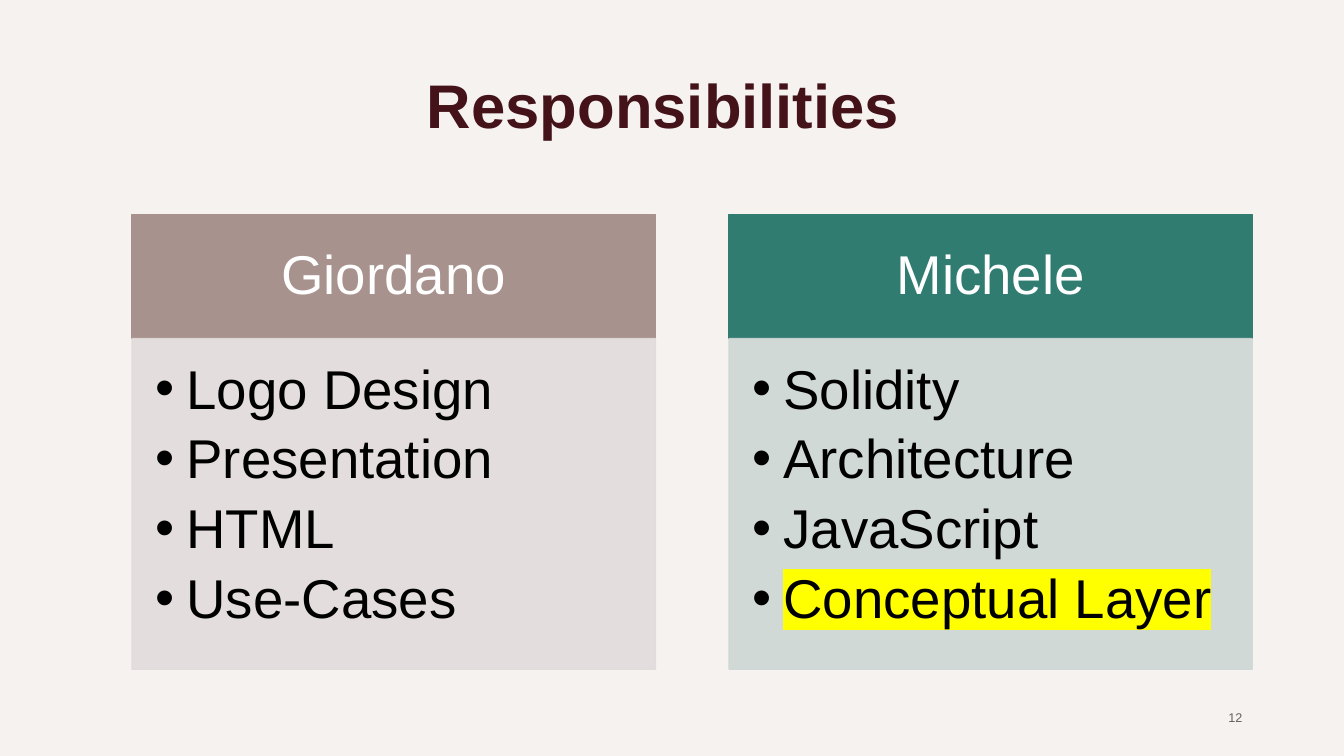
from dataclasses import dataclass
from lxml.etree import SubElement
from pptx import Presentation
from pptx.dml.color import RGBColor
from pptx.enum.shapes import MSO_SHAPE
from pptx.enum.text import MSO_ANCHOR, MSO_AUTO_SIZE, PP_ALIGN
from pptx.oxml.ns import qn
from pptx.util import Inches, Pt


@dataclass(frozen=True)
class Theme:
    font: str = "Arial"
    back: str = "F6F2F0"
    title: str = "44131A"
    ink: str = "000000"
    light: str = "FFFFFF"
    mark: str = "FFFF00"
    head: int = 44
    body: int = 39
    small: int = 9


def assign(item, values):
    for name, value in values.items():
        setattr(item, name, value)


def fade(fill, percent):
    for color in fill.iter(qn("a:srgbClr")):
        SubElement(color, qn("a:alpha"), val=str(percent * 1000))


class Deck:
    def __init__(self, theme):
        self.theme = theme
        self.show = Presentation()
        assign(self.show, {"slide_width": Inches(13.33), "slide_height": Inches(7.5)})
        self.slide = self.show.slides.add_slide(self.show.slide_layouts[5])
        fill = self.slide.background.fill
        fill.solid()
        fill.fore_color.rgb = RGBColor.from_string(theme.back)

    def frame(self, shape, anchor, insets=(0.1, 0.05, 0.1, 0.05)):
        sides = ("margin_left", "margin_top", "margin_right", "margin_bottom")
        assign(shape.text_frame, {
            "word_wrap": True,
            "auto_size": MSO_AUTO_SIZE.NONE,
            "vertical_anchor": anchor,
            **dict(zip(sides, map(Inches, insets))),
        })
        return shape.text_frame

    def label(self, para, text, size, color, bold=False, **style):
        assign(para, style)
        run = para.add_run()
        run.text = text
        assign(run.font, {"name": self.theme.font, "size": Pt(size), "bold": bold})
        run.font.color.rgb = RGBColor.from_string(color)
        return run

    def title(self, text, box):
        shape = self.slide.shapes.title
        assign(shape, dict(zip(("left", "top", "width", "height"), map(Inches, box))))
        frame = self.frame(shape, MSO_ANCHOR.TOP)
        self.label(frame.paragraphs[0], text, self.theme.head, self.theme.title,
                   bold=True, alignment=PP_ALIGN.CENTER)

    def number(self, text, box):
        shape = self.slide.shapes.add_textbox(*map(Inches, box))
        frame = self.frame(shape, MSO_ANCHOR.MIDDLE)
        run = self.label(frame.paragraphs[0], text, self.theme.small, self.theme.ink,
                         alignment=PP_ALIGN.RIGHT)
        fade(run.font._element, 60)

    def block(self, box, color, opaque=100):
        shape = self.slide.shapes.add_shape(MSO_SHAPE.RECTANGLE, *map(Inches, box))
        shape.shadow.inherit = False
        shape.line.width = Pt(1)
        for fill in (shape.fill, shape.line.fill):
            fill.solid()
            fill.fore_color.rgb = RGBColor.from_string(color)
        if opaque < 100:
            fade(shape._element.spPr, opaque)
        return shape

    def header(self, text, box, color):
        frame = self.frame(self.block(box, color), MSO_ANCHOR.MIDDLE,
                           (0.3, 0.17, 0.3, 0.17))
        self.label(frame.paragraphs[0], text, self.theme.body, self.theme.light,
                   alignment=PP_ALIGN.CENTER, line_spacing=0.9)

    def bullets(self, items, box, color, marked):
        frame = self.frame(self.block(box, color, 90), MSO_ANCHOR.TOP,
                           (0.23, 0.23, 0.3, 0.34))
        for index, item in enumerate(items):
            para = frame.add_paragraph() if index else frame.paragraphs[0]
            run = self.label(para, item, self.theme.body, self.theme.ink, level=1,
                             alignment=PP_ALIGN.LEFT, line_spacing=0.9,
                             space_after=Pt(7.7))
            props = para._p.get_or_add_pPr()
            props.set("marL", str(Inches(0.31)))
            props.set("indent", str(-Inches(0.31)))
            SubElement(props, qn("a:buFont"), typeface=self.theme.font)
            SubElement(props, qn("a:buChar"), char="•")
            if item in marked:
                self.mark(run)

    def mark(self, run):
        props = run.font._element
        light = SubElement(props, qn("a:highlight"))
        SubElement(light, qn("a:srgbClr"), val=self.theme.mark)
        props.find(qn("a:solidFill")).addnext(light)


def main():
    deck = Deck(Theme())
    deck.title("Responsibilities", (0.92, 0.61, 11.32, 1.4))
    columns = [
        ("Giordano", "A7928D", "E1DCDB",
         ["Logo Design", "Presentation", "HTML", "Use-Cases"]),
        ("Michele", "307C71", "CDD7D5",
         ["Solidity", "Architecture", "JavaScript", "Conceptual Layer"]),
    ]
    left, top, width, pitch = 1.31, 2.13, 5.19, 5.92
    high, deep = 1.23, 3.28
    for index, (name, dark, pale, tasks) in enumerate(columns):
        x = left + index * pitch
        deck.header(name, (x, top, width, high), dark)
        deck.bullets(tasks, (x, top + high, width, deep), pale, {"Conceptual Layer"})
    deck.number("12", (9.42, 6.92, 3, 0.4))
    deck.show.save("out.pptx")


if __name__ == "__main__":
    main()
